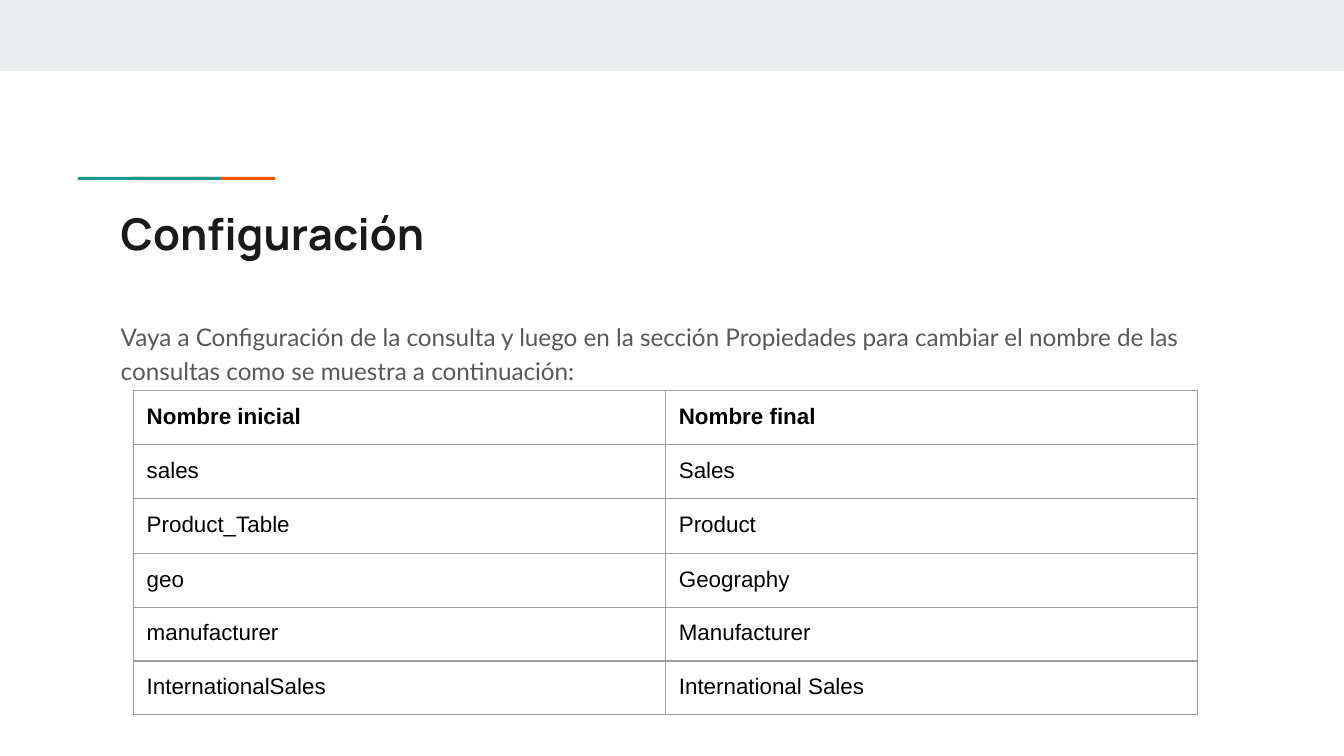
from dataclasses import dataclass

from lxml.etree import SubElement
from pptx import Presentation
from pptx.dml.color import RGBColor
from pptx.enum.shapes import MSO_SHAPE
from pptx.enum.text import MSO_ANCHOR
from pptx.oxml.ns import qn
from pptx.util import Pt

INSET = Pt(7.2)
BORDER_COLOR = "9E9E9E"
COLUMN_WIDTH = 285.1
ROW_HEIGHTS = [27.86, 27.86, 29.5, 27.86, 27.86, 28.9]
NAMES = [
    ("Nombre inicial", "Nombre final"),
    ("sales", "Sales"),
    ("Product_Table", "Product"),
    ("geo", "Geography"),
    ("manufacturer", "Manufacturer"),
    ("InternationalSales", "International Sales"),
]


@dataclass
class Bar:
    left: float
    top: float
    width: float
    height: float
    color: str


BARS = [
    Bar(0, 0, 720, 38.2, "E9EDEE"),
    Bar(71.3, 94.8, 76.2, 1.6, "EB5600"),
    Bar(41.8, 94.8, 76.2, 1.6, "1A9988"),
]


def rgb(color: str) -> RGBColor:
    return RGBColor.from_string(color)


def draw_bar(slide, bar: Bar) -> None:
    shape = slide.shapes.add_shape(
        MSO_SHAPE.RECTANGLE, Pt(bar.left), Pt(bar.top), Pt(bar.width), Pt(bar.height)
    )
    shape.shadow.inherit = False
    shape.fill.solid()
    shape.fill.fore_color.rgb = rgb(bar.color)
    shape.line.fill.background()


def write_text(text_frame, text: str, *, font: str, size: float, color: str,
               bold: bool = False, line_spacing: float = 1.0, space_after: float = 0) -> None:
    paragraph = text_frame.paragraphs[0]
    paragraph.line_spacing = line_spacing
    paragraph.space_after = Pt(space_after)
    run = paragraph.add_run()
    run.text = text
    run.font.name = font
    run.font.size = Pt(size)
    run.font.bold = bold
    run.font.color.rgb = rgb(color)


def draw_text(slide, text: str, top: float, height: float,
              anchor: MSO_ANCHOR = MSO_ANCHOR.TOP, **text_format) -> None:
    text_frame = slide.shapes.add_textbox(Pt(57.6), Pt(top), Pt(605.5), Pt(height)).text_frame
    text_frame.word_wrap = True
    text_frame.vertical_anchor = anchor
    text_frame.margin_left = text_frame.margin_right = INSET
    text_frame.margin_top = text_frame.margin_bottom = INSET
    write_text(text_frame, text, **text_format)


def add_borders(cell) -> None:
    properties = cell._tc.get_or_add_tcPr()
    for position, side in enumerate(("a:lnL", "a:lnR", "a:lnT", "a:lnB")):
        line = properties.makeelement(qn(side), {"w": str(Pt(0.75))})
        properties.insert(position, line)
        fill = SubElement(line, qn("a:solidFill"))
        SubElement(fill, qn("a:srgbClr"), val=BORDER_COLOR)


def draw_table(slide, left: float, top: float) -> None:
    frame = slide.shapes.add_table(
        len(NAMES), 2, Pt(left), Pt(top), Pt(2 * COLUMN_WIDTH), Pt(sum(ROW_HEIGHTS))
    )
    table = frame.table
    table.horz_banding = False
    table.first_row = False
    for column in table.columns:
        column.width = Pt(COLUMN_WIDTH)
    for row_index, (height, names) in enumerate(zip(ROW_HEIGHTS, NAMES)):
        row = table.rows[row_index]
        row.height = Pt(height)
        for cell, name in zip(row.cells, names):
            cell.fill.background()
            cell.margin_left = cell.margin_right = INSET
            cell.margin_top = cell.margin_bottom = INSET
            write_text(cell.text_frame, name, font="Arial", size=12, color="000000",
                       bold=row_index == 0)
            add_borders(cell)


def main() -> None:
    """Build the settings slide with its table of query names."""
    presentation = Presentation()
    presentation.slide_width = Pt(720)
    presentation.slide_height = Pt(405)
    slide = presentation.slides.add_slide(presentation.slide_layouts[6])
    for bar in BARS:
        draw_bar(slide, bar)
    draw_text(slide, "Configuración", 103.7, 42.5, MSO_ANCHOR.MIDDLE,
              font="Manrope", size=23.4, color="1A1A1A", bold=True)
    draw_text(slide, "Vaya a Configuración de la consulta y luego en la sección Propiedades "
              "para cambiar el nombre de las consultas como se muestra a continuación:",
              163.4, 177.8, font="Lato", size=13, color="595959",
              line_spacing=1.15, space_after=12)
    draw_table(slide, 71.4, 209.3)
    presentation.save("out.pptx")


if __name__ == "__main__":
    main()
